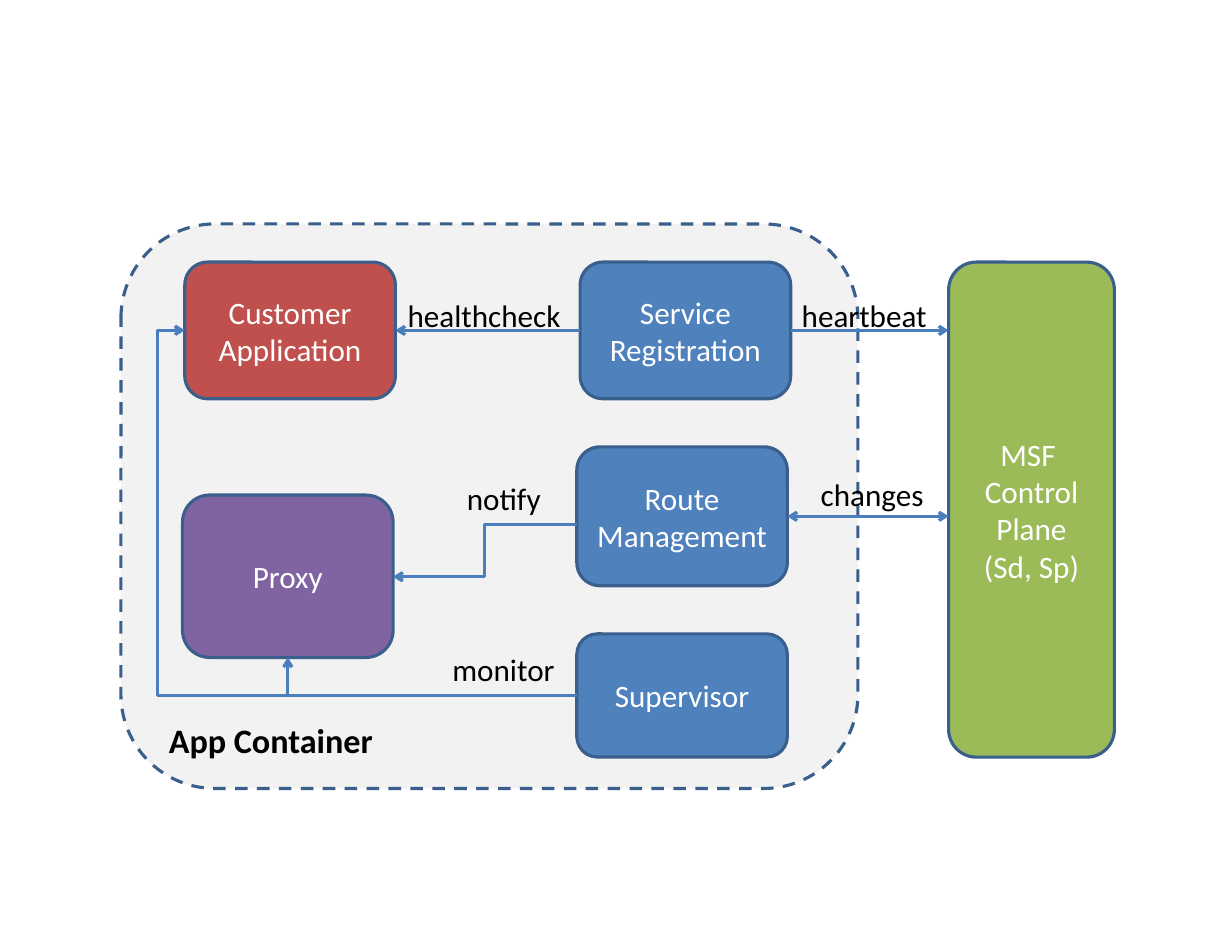
from lxml import etree
from pptx import Presentation
from pptx.dml.color import RGBColor
from pptx.enum.dml import MSO_LINE
from pptx.enum.shapes import MSO_CONNECTOR, MSO_SHAPE
from pptx.enum.text import MSO_ANCHOR, MSO_AUTO_SIZE, PP_ALIGN
from pptx.oxml.ns import qn
from pptx.util import Inches, Pt

ROUNDED = MSO_SHAPE.ROUNDED_RECTANGLE
STRAIGHT, ELBOW = MSO_CONNECTOR.STRAIGHT, MSO_CONNECTOR.ELBOW
DASH = MSO_LINE.DASH
MIDDLE, CENTER = MSO_ANCHOR.MIDDLE, PP_ALIGN.CENTER
FIT_SHAPE = MSO_AUTO_SIZE.SHAPE_TO_FIT_TEXT
LEFT, BOTTOM, RIGHT = 1, 2, 3  # connection sites of a rounded rectangle

COLUMNS, ROWS = 11, 8.5
COLORS = {
    "panel": "F2F2F2", "border": "3A5F8C", "arrow": "4B7EBC",
    "red": "C0504D", "blue": "4F81BD", "purple": "8064A2",
    "green": "9BBB59", "white": "FFFFFF", "black": "000000",
}


class Diagram:
    """Holds the style and the current slide; lengths are grid columns and rows."""

    def __init__(self, presentation, font="Calibri", size=20, line_width=2):
        """Add a blank slide and derive the grid cell from the slide size."""
        self.slide = presentation.slides.add_slide(presentation.slide_layouts[6])
        self.column = presentation.slide_width / COLUMNS
        self.row = presentation.slide_height / ROWS
        self.font, self.size, self.line_width = font, size, line_width

    def place(self, *lengths):
        """Turn alternating columns and rows into slide units."""
        return [round(length * (self.row if index % 2 else self.column))
                for index, length in enumerate(lengths)]

    def color(self, name):
        """Look up a colour by name."""
        return RGBColor.from_string(COLORS[name])

    def stroke(self, line, color):
        """Style an outline or a connector line."""
        line.color.rgb = self.color(color)
        line.width = Pt(self.line_width)

    def add_text(self, paragraph, text, color, size=None, bold=False):
        """Add one styled run to a paragraph."""
        run = paragraph.add_run()
        run.text = text
        run.font.name = self.font
        run.font.size = Pt(size or self.size)
        run.font.bold = bold
        run.font.color.rgb = self.color(color)

    def box(self, area, fill, lines=(), dash=None):
        """Draw a rounded box with one centred paragraph per line."""
        shape = self.slide.shapes.add_shape(ROUNDED, *self.place(*area))
        shape.shadow.inherit = False
        shape.fill.solid()
        shape.fill.fore_color.rgb = self.color(fill)
        self.stroke(shape.line, "border")
        if dash:
            shape.line.dash_style = dash
        frame = shape.text_frame
        frame.vertical_anchor = MIDDLE
        for index, text in enumerate(lines):
            paragraph = frame.add_paragraph() if index else frame.paragraphs[0]
            paragraph.alignment = CENTER
            self.add_text(paragraph, text, "white")
        return shape

    def label(self, area, text, size=None, bold=False):
        """Add a one-line caption."""
        frame = self.slide.shapes.add_textbox(*self.place(*area)).text_frame
        frame.word_wrap = False
        frame.auto_size = FIT_SHAPE
        self.add_text(frame.paragraphs[0], text, "black", size, bold)

    def arrow(self, start, end, kind=STRAIGHT, both=False):
        """Draw an arrow between two points and return the connector."""
        connector = self.slide.shapes.add_connector(kind, *self.place(*start, *end))
        self.stroke(connector.line, "arrow")
        properties = connector._element.spPr
        line = properties.find(qn("a:ln"))
        for tag in ("a:headEnd", "a:tailEnd") if both else ("a:tailEnd",):
            etree.SubElement(line, qn(tag), type="arrow")
        etree.SubElement(properties, qn("a:effectLst"))
        return connector

    def link(self, source, source_site, target, target_site,
             kind=ELBOW, preset=None, bend=None):
        """Draw an arrow glued to two boxes, with an optional bend position."""
        connector = self.arrow((0, 0), (1, 1), kind)
        connector.begin_connect(source, source_site)
        connector.end_connect(target, target_site)
        geometry = connector._element.spPr.find(qn("a:prstGeom"))
        if preset:
            geometry.set("prst", preset)
        if bend:
            guides = geometry.find(qn("a:avLst"))
            if guides is None:
                guides = etree.SubElement(geometry, qn("a:avLst"))
            etree.SubElement(guides, qn("a:gd"), name="adj1",
                             fmla=f"val {round(bend * 100000)}")


def build():
    """Build the slide and save it."""
    presentation = Presentation()
    presentation.slide_width, presentation.slide_height = Inches(COLUMNS), Inches(ROWS)
    diagram = Diagram(presentation)

    width, top, height = 1.88, 2.34, 1.22
    diagram.box((1.08, 2, 6.58, 5.04), "panel", dash=DASH)
    diagram.label((1.41, 6.37, 2.04, 0.47), "App Container", size=22, bold=True)
    customer = diagram.box((1.65, top, width, height), "red", ["Customer", "Application"])
    registration = diagram.box((5.18, top, width, height), "blue", ["Service Registration"])
    diagram.box((5.15, 3.99, width, 1.24), "blue", ["Route Management"])
    supervisor = diagram.box((5.15, 5.66, width, 1.1), "blue", ["Supervisor"])
    proxy = diagram.box((1.63, 4.42, width, 1.45), "purple", ["Proxy"])
    diagram.box((8.47, top, 1.48, 4.42), "green", ["MSF ", "Control Plane", "(Sd, Sp)"])

    diagram.link(registration, LEFT, customer, RIGHT, kind=STRAIGHT)
    diagram.arrow((7.06, 2.95), (8.47, 2.95))
    diagram.arrow((7.03, 4.61), (8.47, 4.61), both=True)
    diagram.arrow((5.15, 4.68), (3.51, 5.15), kind=ELBOW)
    diagram.link(supervisor, LEFT, proxy, BOTTOM, preset="bentConnector2")
    diagram.link(supervisor, LEFT, customer, LEFT, bend=1.07)

    for left, label_top, label_width, text in (
        (7.06, 2.6, 1.33, "heartbeat"),
        (3.54, 2.6, 1.59, "healthcheck"),
        (7.23, 4.2, 1.13, "changes"),
        (4.07, 4.23, 0.87, "notify"),
        (3.94, 5.76, 1.12, "monitor"),
    ):
        diagram.label((left, label_top, label_width, 0.44), text)

    presentation.save("out.pptx")


build()
